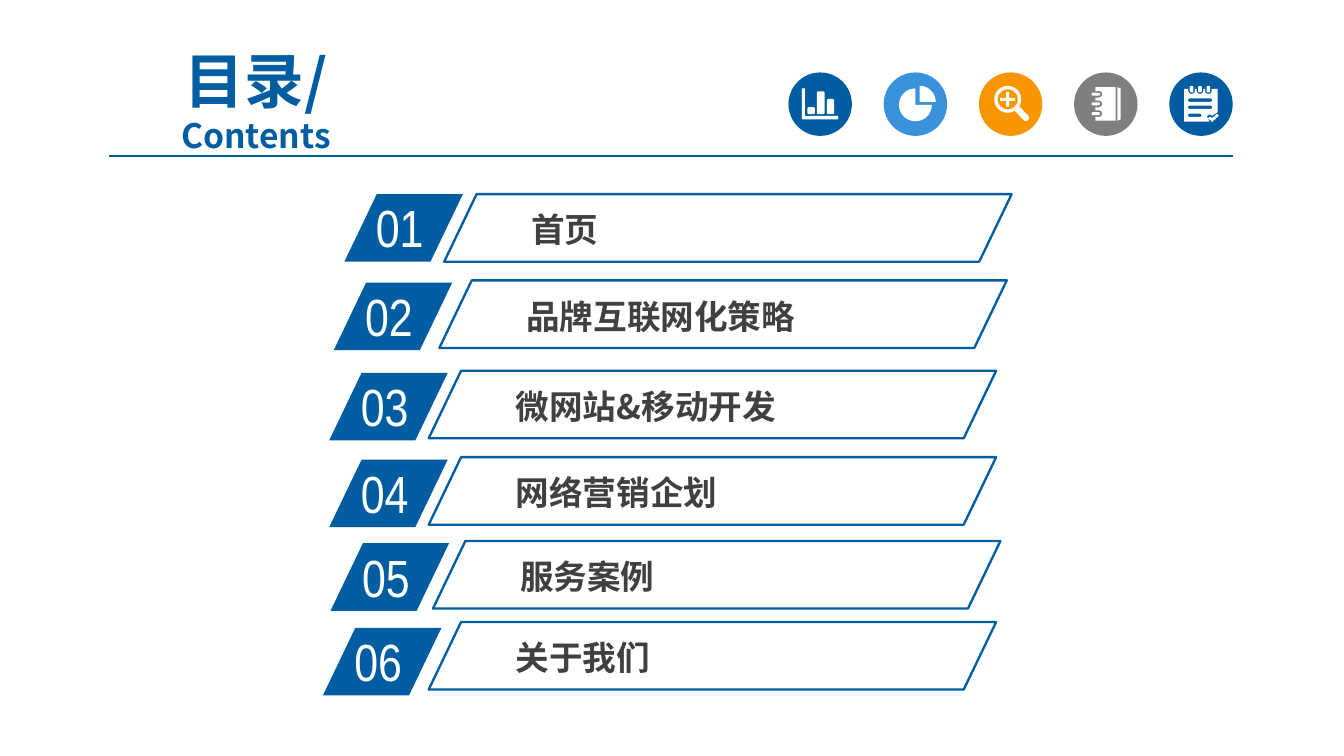
import math

from lxml import etree
from pptx import Presentation
from pptx import util as u
from pptx.dml.color import RGBColor
from pptx.enum import shapes, text
from pptx.oxml.ns import qn

BLUE = RGBColor(0x00, 0x5D, 0xA2)
RULE_BLUE = RGBColor(0x00, 0x5B, 0x9E)
LIGHT_BLUE = RGBColor(0x39, 0x92, 0xDB)
ORANGE = RGBColor(0xF7, 0x96, 0x00)
GREY = RGBColor(0x7F, 0x7F, 0x7F)
DARK = RGBColor(0x40, 0x40, 0x40)
WHITE = RGBColor(0xFF, 0xFF, 0xFF)

# label, badge left and top, frame left and top
ENTRIES = [
    ("首页", 184.5, 104, 238, 104),
    ("品牌互联网化策略", 178.8, 151.4, 235.4, 150.2),
    ("微网站&移动开发", 176.4, 199.7, 229.7, 198.6),
    ("网络营销企划", 176.4, 246.2, 229.7, 244.9),
    ("服务案例", 177.1, 291, 232, 289.8),
    ("关于我们", 173, 336.4, 229.7, 333.2),
]
ICON_LEFT, ICON_TOP, ICON_STEP, ICON_SIZE = 422.4, 38.8, 51, 34


def arc(cx, cy, radius, start, end):
    """Points along an arc; degrees run clockwise from the right."""
    steps = max(4, math.ceil(abs(end - start) / 10))
    angles = [math.radians(start + (end - start) * i / steps) for i in range(steps + 1)]
    return [(cx + radius * math.cos(a), cy + radius * math.sin(a)) for a in angles]


def round_rect(left, top, right, bottom, radius):
    corners = [
        (left + radius, top + radius, 180),
        (right - radius, top + radius, 270),
        (right - radius, bottom - radius, 0),
        (left + radius, bottom - radius, 90),
    ]
    return [p for x, y, a in corners for p in arc(x, y, radius, a, a + 90)]


# Each icon is a list of outlines, in points from the corner of its disc.
def bar_chart_icon():
    axes = [(7.2, 8.6), (8.9, 8.6), (8.9, 23.3), (26.6, 23.3), (26.6, 25.2), (7.2, 25.2)]
    bars = [(10.2, 18.6, 14.2), (15.2, 10.2, 19.4), (20.7, 14.2, 24.5)]
    return [axes] + [round_rect(x1, y, x2, 22.4, 0.9) for x1, y, x2 in bars]


def pie_icon():
    return [
        [(19.3, 15.8)] + arc(19.3, 15.8, 8.6, -90, 0),
        [(17, 17.4)] + arc(17, 17.4, 8.8, 0, 270),
    ]


def magnifier_icon():
    cx, cy, long, thin = 15.5, 14.4, 4, 0.8
    plus = []
    for dx, dy in [(1, -1), (1, 1), (-1, 1), (-1, -1)]:
        arm = [(dx * thin, dy * long), (dx * thin, dy * thin), (dx * long, dy * thin)]
        plus += arm if dx * dy < 0 else arm[::-1]
    handle = [(19.4, 20.7), (21.8, 18.3)] + arc(25.2, 24.3, 1.7, -45, 135)
    return [
        arc(cx, cy, 7.2, 0, 360),
        arc(cx, cy, 5.4, 0, 360),
        [(cx + x, cy + y) for x, y in plus],
        handle,
    ]


def notebook_icon():
    rings = [22.1, 16.9, 11.7]
    cover = [(11.5, 7.9), (22.3, 7.9), (22.3, 25.9), (11.5, 25.9)]
    for y in rings:
        cover += [(11.5, y + 1.8)] + arc(13.3, y, 1.8, 90, -90) + [(11.5, y - 1.8)]
    edge = [(23.2, 7.9), (25, 8.6), (25, 25.2), (23.2, 25.9)]
    return [cover, edge] + [round_rect(9.4, y - 0.8, 13.9, y + 0.8, 0.8) for y in rings]


def checklist_icon():
    rings = [12, 16.5, 21]
    page = [(8, 8.8)]
    for x in rings:
        page += [(x - 1.8, 8.8)] + arc(x, 9.7, 1.8, 180, 0) + [(x + 1.8, 8.8)]
    page += [(26, 8.8), (26, 21.4), (23, 23.2), (21.6, 22.4), (20.2, 23.6), (21.6, 26.4), (8, 26.4)]
    check = [(25.6, 22.2), (26.6, 23.2), (23, 26.6), (20.9, 24.6), (21.9, 23.6), (23, 24.6)]
    lines = [(14.9, 23), (18.7, 23), (23, 17.3)]
    return (
        [page, check]
        + [round_rect(10.1, y - 0.9, right, y + 0.9, 0.9) for y, right in lines]
        + [round_rect(x - 1, 7.2, x + 1, 10.8, 1) for x in rings]
    )


class ContentsSlide:
    """Holds the current slide and its type style."""

    cjk_font = "Noto Sans CJK SC"
    number_font = "Arial Narrow"

    def __init__(self, prs):
        self.slide = prs.slides.add_slide(prs.slide_layouts[5])

    def run(self, p, words, size, color, font, bold=False):
        r = p.add_run()
        r.text = words
        r.font.size, r.font.name, r.font.bold = u.Pt(size), font, bold
        r.font.color.rgb = color
        etree.SubElement(r.font._element, qn("a:ea"), typeface=font)

    def title(self, lines, left, top, width, height):
        sp = self.slide.shapes.title
        sp.left, sp.top, sp.width, sp.height = map(u.Pt, (left, top, width, height))
        tf = sp.text_frame
        tf.auto_size = text.MSO_AUTO_SIZE.NONE
        tf.vertical_anchor = text.MSO_ANCHOR.MIDDLE
        p = tf.paragraphs[0]
        p.alignment = text.PP_ALIGN.CENTER
        for i, (words, size) in enumerate(lines):
            if i:
                p.add_line_break()
            self.run(p, words, size, BLUE, self.cjk_font, True)

    def text_box(self, words, left, top, width, height, size, color, font, bold=False, insets=(7.2, 3.6)):
        tf = self.slide.shapes.add_textbox(*map(u.Pt, (left, top, width, height))).text_frame
        tf.word_wrap = True
        tf.margin_left = tf.margin_right = u.Pt(insets[0])
        tf.margin_top = tf.margin_bottom = u.Pt(insets[1])
        self.run(tf.paragraphs[0], words, size, color, font, bold)

    def rule(self, x1, x2, y):
        line = self.slide.shapes.add_connector(
            shapes.MSO_CONNECTOR.STRAIGHT, *map(u.Pt, (x1, y, x2, y)))
        line.line.color.rgb = RULE_BLUE
        line.line.width = u.Pt(0.75)
        etree.SubElement(line._element.spPr, qn("a:effectLst"))

    def paint(self, sp, fill=None, line=None):
        sp.shadow.inherit = False
        if fill is None:
            sp.fill.background()
        else:
            sp.fill.solid()
            sp.fill.fore_color.rgb = fill
        if line is None:
            sp.line.fill.background()
        else:
            sp.line.color.rgb = line
            sp.line.width = u.Pt(1.25)

    def slanted_box(self, left, top, width, **colors):
        sp = self.slide.shapes.add_shape(
            shapes.MSO_SHAPE.PARALLELOGRAM, *map(u.Pt, (left, top, width, 36.2)))
        sp.adjustments[0] = 0.48
        self.paint(sp, **colors)

    def icon(self, left, top, color, outlines):
        disc = self.slide.shapes.add_shape(
            shapes.MSO_SHAPE.OVAL, *map(u.Pt, (left, top, ICON_SIZE, ICON_SIZE)))
        self.paint(disc, fill=color)
        builder = None
        for outline in outlines:
            points = [(u.Pt(left + x), u.Pt(top + y)) for x, y in outline]
            if builder is None:
                builder = self.slide.shapes.build_freeform(*points[0])
            else:
                builder.move_to(*points[0])
            builder.add_line_segments(points[1:], close=True)
        self.paint(builder.convert_to_shape(), fill=WHITE)

    def entry(self, number, label, badge_left, badge_top, left, top):
        self.slanted_box(badge_left, badge_top, 63.5, fill=BLUE)
        self.text_box(f"{number:02}", badge_left + 9.8, badge_top - 2.7, 60.5, 35.3,
                      28, WHITE, self.number_font)
        self.text_box(label, left + 41.6, top + 5.2, 222.5, 27.4,
                      18, DARK, self.cjk_font, True, (5, 2.9))
        self.slanted_box(left, top, 304, line=BLUE)


def main():
    prs = Presentation()
    prs.slide_width, prs.slide_height = u.Pt(720), u.Pt(405)
    s = ContentsSlide(prs)
    s.title([("目录/", 32), ("Contents", 18)], 48.2, 33.8, 177.8, 38.9)
    s.rule(58.5, 660.5, 83.5)
    for number, entry in enumerate(ENTRIES, 1):
        s.entry(number, *entry)
    icons = [
        (BLUE, bar_chart_icon()),
        (LIGHT_BLUE, pie_icon()),
        (ORANGE, magnifier_icon()),
        (GREY, notebook_icon()),
        (BLUE, checklist_icon()),
    ]
    for i, (color, outlines) in enumerate(icons):
        s.icon(ICON_LEFT + i * ICON_STEP, ICON_TOP, color, outlines)
    prs.save("out.pptx")


if __name__ == "__main__":
    main()
